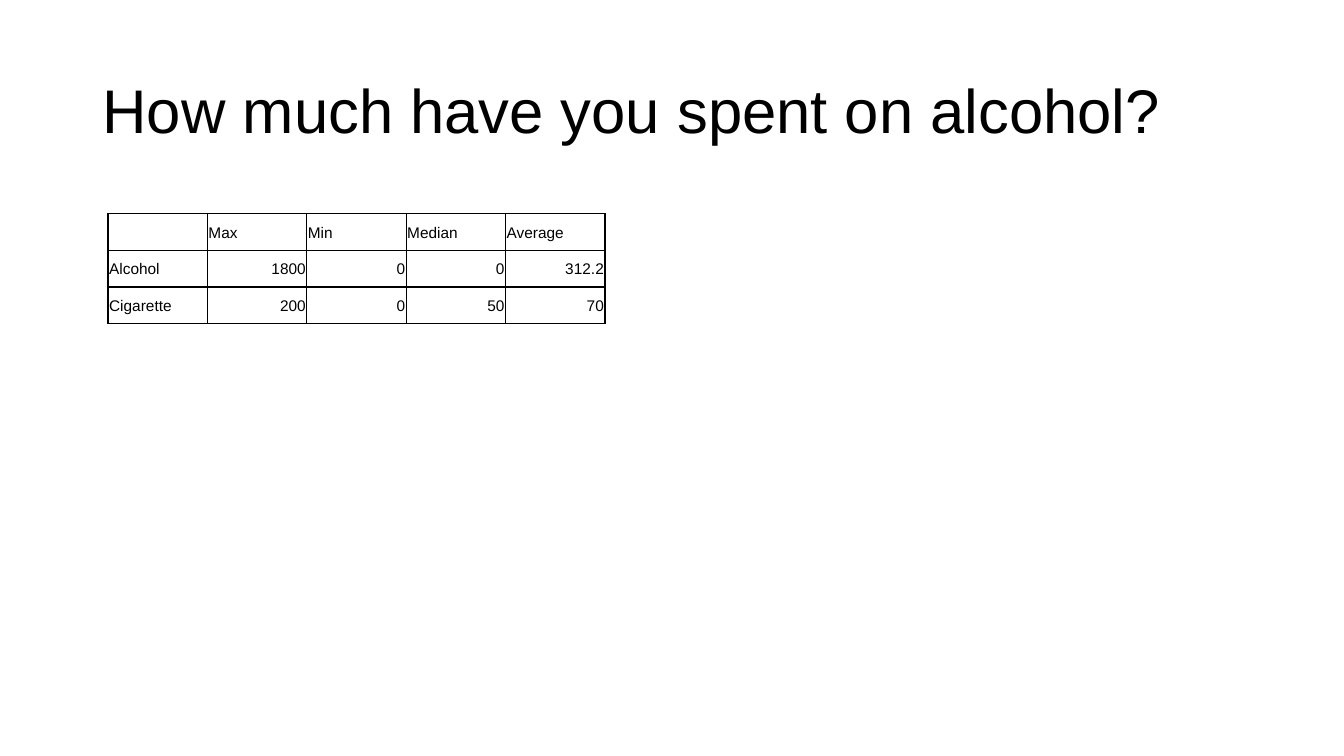
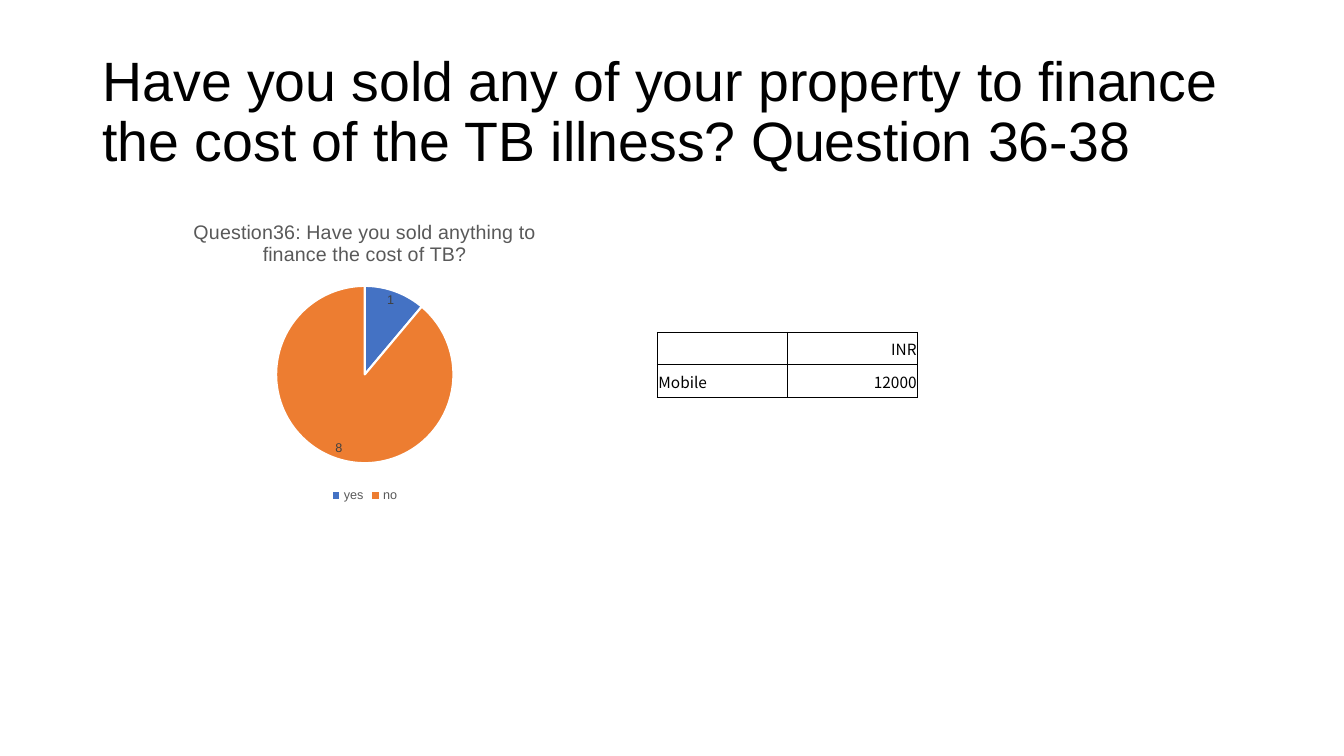
from dataclasses import dataclass
from typing import Any

from lxml import etree
from pptx import Presentation
from pptx.chart import data as chart_data
from pptx.dml.color import RGBColor
from pptx.enum import chart as charts, text as texts
from pptx.oxml import ns
from pptx.util import Length, Pt


@dataclass(frozen=True)
class Theme:
    font: str = "Arial"
    cjk_font: str = "Noto Sans CJK KR"
    ink: str = "000000"
    muted: str = "595959"
    label: str = "404040"
    paper: str = "FFFFFF"
    slices: tuple[str, ...] = ("4472C4", "ED7D31")
    title: float = 44
    long_title: float = 39.6
    chart_title: float = 14
    chart_label: float = 9
    cell: float = 11


@dataclass(frozen=True)
class Grid:
    """A bordered table; the first column is left-aligned."""
    left: float
    top: float
    column: float
    row: float
    rows: tuple[tuple[str, ...], ...]
    header_align: Any
    font: str


THEME = Theme()
ALIGN = texts.PP_ALIGN

SPENDING = Grid(
    77.2, 152.8, 71, 26.1,
    (("", "Max", "Min", "Median", "Average"),
     ("Alcohol", "1800", "0", "0", "312.2"),
     ("Cigarette", "200", "0", "50", "70")),
    ALIGN.LEFT, THEME.font)
SALES = Grid(
    469.6, 237.4, 93, 23.2,
    (("", "INR"), ("Mobile", "12000")),
    ALIGN.RIGHT, THEME.cjk_font)


# Text
def style_font(font, size: float, color: str, name: str = THEME.font) -> None:
    font.size, font.name, font.bold = Pt(size), name, False
    font.color.rgb = RGBColor.from_string(color)


def write(frame, text: str, *, size: float, color: str = THEME.ink,
          font: str = THEME.font, align=ALIGN.LEFT,
          spacing: float | None = None) -> None:
    paragraph = frame.paragraphs[0]
    paragraph.alignment, paragraph.line_spacing = align, spacing
    run = paragraph.add_run()
    run.text = text
    style_font(run.font, size, color, font)


def add_titled_slide(deck, heading: str, size: float):
    slide = deck.slides.add_slide(deck.slide_layouts[5])
    title = slide.shapes.title
    title.left, title.top, title.width, title.height = map(Pt, (66, 28.8, 828, 104.4))
    frame = title.text_frame
    frame.word_wrap = True
    frame.auto_size = texts.MSO_AUTO_SIZE.NONE
    frame.vertical_anchor = texts.MSO_ANCHOR.MIDDLE
    write(frame, heading, size=size, spacing=0.9)
    return slide


# Tables
def border_cell(cell, width: Length) -> None:
    properties = cell._tc.get_or_add_tcPr()
    for side in ("lnL", "lnR", "lnT", "lnB"):
        line = etree.SubElement(properties, ns.qn(f"a:{side}"), w=str(int(width)))
        fill = etree.SubElement(line, ns.qn("a:solidFill"))
        etree.SubElement(fill, ns.qn("a:srgbClr"), val=THEME.ink)


def add_grid(slide, grid: Grid) -> None:
    row_count, column_count = len(grid.rows), len(grid.rows[0])
    table = slide.shapes.add_table(
        row_count, column_count, Pt(grid.left), Pt(grid.top),
        Pt(grid.column * column_count), Pt(grid.row * row_count)).table
    table.first_row = table.horz_banding = False
    for r, values in enumerate(grid.rows):
        table.rows[r].height = Pt(grid.row)
        for c, value in enumerate(values):
            cell = table.cell(r, c)
            cell.margin_left = cell.margin_right = cell.margin_top = Pt(0.75)
            cell.margin_bottom = Pt(0)
            cell.vertical_anchor = texts.MSO_ANCHOR.MIDDLE
            border_cell(cell, Pt(1))
            cell.fill.background()
            if value:
                body_align = ALIGN.RIGHT if c else ALIGN.LEFT
                write(cell.text_frame, value, size=THEME.cell, font=grid.font,
                      align=body_align if r else grid.header_align)


# Chart
def add_answer_pie(slide) -> None:
    answers = chart_data.CategoryChartData()
    answers.categories = ["yes", "no"]
    answers.add_series("Series 1", (1, 8))
    pie = slide.shapes.add_chart(
        charts.XL_CHART_TYPE.PIE, Pt(80.6), Pt(146.2), Pt(360), Pt(216), answers).chart
    style_font(pie.font, 10, THEME.ink)
    pie.has_title = True
    write(pie.chart_title.text_frame,
          "Question36: Have you sold anything to finance the cost of TB?",
          size=THEME.chart_title, color=THEME.muted, align=ALIGN.CENTER)
    pie.chart_title.include_in_layout = False

    pie.has_legend = True
    pie.legend.position = charts.XL_LEGEND_POSITION.BOTTOM
    pie.legend.include_in_layout = False
    style_font(pie.legend.font, THEME.chart_label, THEME.muted)

    plot = pie.plots[0]
    plot.vary_by_categories = True
    for index, color in enumerate(THEME.slices):
        look = plot.series[0].points[index].format
        look.fill.solid()
        look.fill.fore_color.rgb = RGBColor.from_string(color)
        look.line.color.rgb = RGBColor.from_string(THEME.paper)
        look.line.width = Pt(1.5)
    labels = plot.series[0].data_labels
    labels.show_value = True
    labels.position = charts.XL_LABEL_POSITION.BEST_FIT
    style_font(labels.font, THEME.chart_label, THEME.label)


def main() -> None:
    deck = Presentation()
    deck.slide_width, deck.slide_height = Pt(960), Pt(540)

    # Spending on alcohol and cigarettes
    spending = add_titled_slide(deck, "How much have you spent on alcohol?", THEME.title)
    add_grid(spending, SPENDING)

    # Property sold
    property_sold = add_titled_slide(
        deck, "Have you sold any of your property to finance the cost of the TB "
        "illness? Question 36-38", THEME.long_title)
    add_answer_pie(property_sold)
    add_grid(property_sold, SALES)

    deck.save("out.pptx")


if __name__ == "__main__":
    main()
